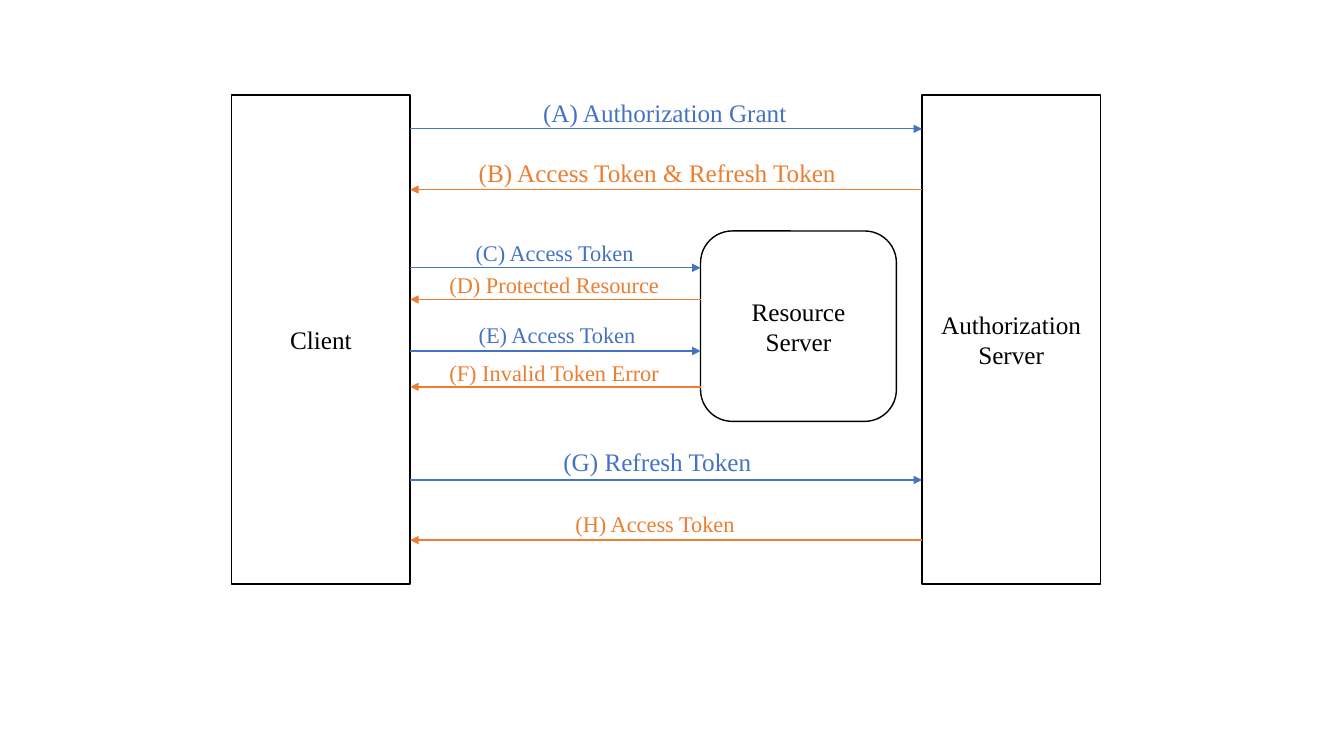
from dataclasses import dataclass

from lxml.etree import SubElement
from pptx import Presentation
from pptx.dml.color import RGBColor
from pptx.enum.shapes import MSO_CONNECTOR, MSO_SHAPE
from pptx.enum.text import MSO_ANCHOR, MSO_AUTO_SIZE, PP_ALIGN
from pptx.oxml.ns import qn
from pptx.slide import Slide
from pptx.text.text import TextFrame
from pptx.util import Pt

COLORS = {
    "ink": "000000",
    "paper": "FFFFFF",
    "request": "4472C4",
    "response": "ED7D31",
}
FONT = "Times New Roman"
LABEL_HEIGHTS = {18: 29.1, 16: 26.6}


@dataclass(frozen=True)
class Party:
    """A box for one participant, in points."""

    name: str
    left: float
    top: float
    width: float
    height: float
    outline: MSO_SHAPE = MSO_SHAPE.RECTANGLE


@dataclass(frozen=True)
class Message:
    """A labelled arrow between the client and a server, in points."""

    text: str
    server: Party
    kind: str
    line_y: float
    label_left: float
    label_top: float
    label_width: float
    size: int = 16


CLIENT = Party("Client", 165.6, 67.9, 127.4, 349.2)
AUTHORIZATION = Party("Authorization Server", 658.6, 67.9, 127.4, 349.2)
RESOURCE = Party("Resource Server", 500.4, 165, 139.9, 136,
                 MSO_SHAPE.ROUNDED_RECTANGLE)

MESSAGES = [
    Message("(A) Authorization Grant", AUTHORIZATION, "request",
            92, 380.9, 66.2, 190.1, 18),
    Message("(B) Access Token & Refresh Token", AUTHORIZATION, "response",
            135.4, 334.8, 108.9, 272.2, 18),
    Message("(C) Access Token", RESOURCE, "request",
            191.3, 332.6, 167.2, 128.9),
    Message("(D) Protected Resource", RESOURCE, "response",
            213.9, 313.9, 190.1, 166.3),
    Message("(E) Access Token", RESOURCE, "request",
            250.7, 334.8, 226.1, 128.9),
    Message("(F) Invalid Token Error", RESOURCE, "response",
            276.3, 313.9, 252.9, 169.2),
    Message("(G) Refresh Token", AUTHORIZATION, "request",
            342.8, 395.3, 315.4, 150.5, 18),
    Message("(H) Access Token", AUTHORIZATION, "response",
            385.8, 403.9, 360.9, 133.9),
]


def rgb(name: str) -> RGBColor:
    """Return the named colour."""
    return RGBColor.from_string(COLORS[name])


def write_text(frame: TextFrame, text: str, *, size: int = 18,
               color: str = "ink", align: PP_ALIGN = PP_ALIGN.LEFT,
               anchor: MSO_ANCHOR = MSO_ANCHOR.TOP, wrap: bool = True) -> None:
    """Write one formatted paragraph into a text frame."""
    frame.word_wrap = wrap
    frame.vertical_anchor = anchor
    para = frame.paragraphs[0]
    para.alignment = align
    span = para.add_run()
    span.text = text
    span.font.name = FONT
    span.font.size = Pt(size)
    span.font.color.rgb = rgb(color)


def draw_party(page: Slide, party: Party) -> None:
    """Draw a participant box with its centred name."""
    box = page.shapes.add_shape(party.outline, Pt(party.left), Pt(party.top),
                                Pt(party.width), Pt(party.height))
    box.shadow.inherit = False
    box.fill.solid()
    box.fill.fore_color.rgb = rgb("paper")
    box.line.color.rgb = rgb("ink")
    box.line.width = Pt(1)
    write_text(box.text_frame, party.name, align=PP_ALIGN.CENTER,
               anchor=MSO_ANCHOR.MIDDLE)


def draw_arrow(page: Slide, start: float, end: float, height: float,
               color: str) -> None:
    """Draw a horizontal arrow from start to end."""
    arrow = page.shapes.add_connector(MSO_CONNECTOR.STRAIGHT, Pt(start),
                                      Pt(height), Pt(end), Pt(height))
    arrow.line.color.rgb = rgb(color)
    arrow.line.width = Pt(1)
    SubElement(arrow.line._get_or_add_ln(), qn("a:tailEnd"), type="triangle")
    SubElement(arrow._element.spPr, qn("a:effectLst"))


def draw_message(page: Slide, message: Message) -> None:
    """Draw a message arrow and its label."""
    start, end = CLIENT.left + CLIENT.width, message.server.left
    if message.kind == "response":
        start, end = end, start
    draw_arrow(page, start, end, message.line_y, message.kind)
    label = page.shapes.add_textbox(
        Pt(message.label_left), Pt(message.label_top),
        Pt(message.label_width), Pt(LABEL_HEIGHTS[message.size]))
    write_text(label.text_frame, message.text, size=message.size,
               color=message.kind, wrap=False)
    label.text_frame.auto_size = MSO_AUTO_SIZE.SHAPE_TO_FIT_TEXT


def main() -> None:
    """Build the token refresh flow and save it."""
    deck = Presentation()
    deck.slide_width, deck.slide_height = Pt(960), Pt(540)
    page = deck.slides.add_slide(deck.slide_layouts[6])
    for party in (CLIENT, AUTHORIZATION, RESOURCE):
        draw_party(page, party)
    for message in MESSAGES:
        draw_message(page, message)
    deck.save("out.pptx")


main()
